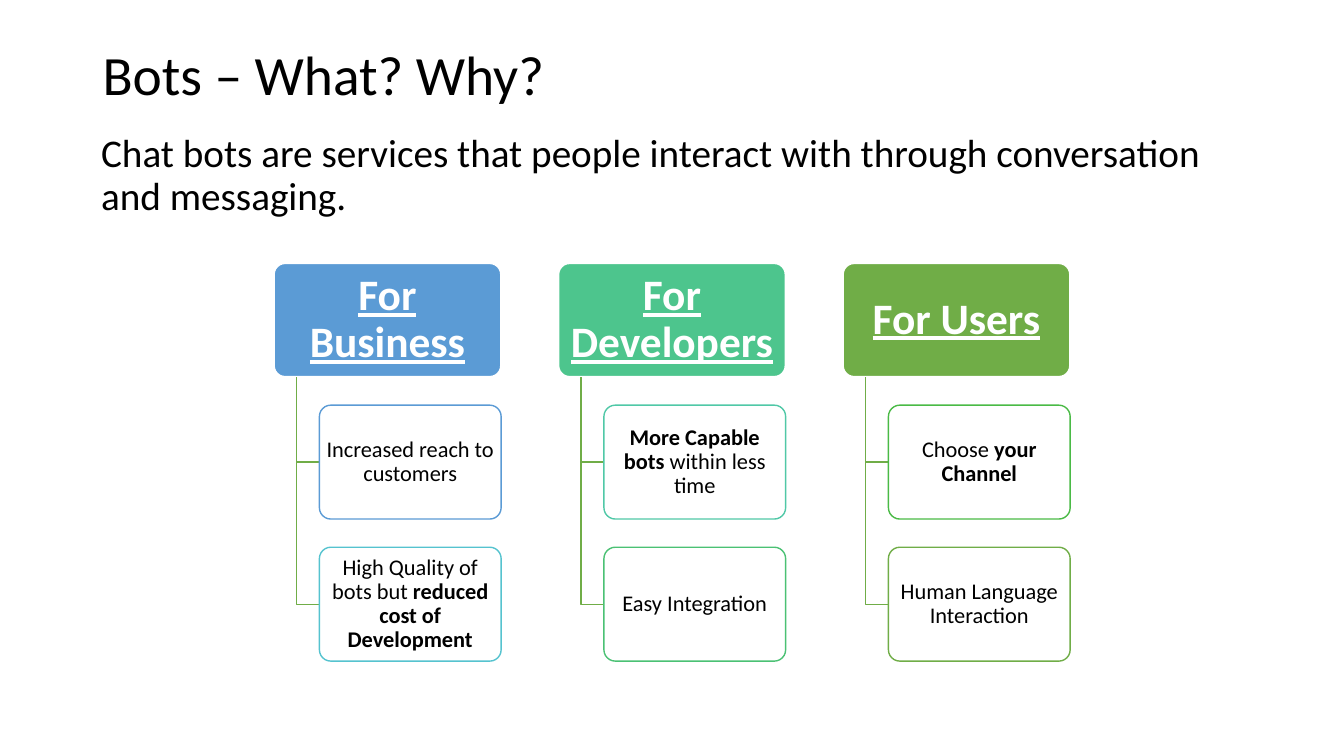
from lxml import etree
from pptx import Presentation
from pptx.dml.color import RGBColor
from pptx.enum.shapes import MSO_SHAPE
from pptx.enum.text import MSO_ANCHOR, MSO_AUTO_SIZE, PP_ALIGN
from pptx.oxml.ns import qn
from pptx.util import Cm, Pt

BLACK = RGBColor(0x00, 0x00, 0x00)
WHITE = RGBColor(0xFF, 0xFF, 0xFF)
BLUE = RGBColor(0x5B, 0x9B, 0xD5)
CYAN = RGBColor(0x55, 0xC3, 0xCF)
MINT = RGBColor(0x4D, 0xC5, 0x8D)
TEAL = RGBColor(0x50, 0xC8, 0xA7)
EMERALD = RGBColor(0x4B, 0xC1, 0x74)
BRIGHT_GREEN = RGBColor(0x4A, 0xBA, 0x46)
GREEN = RGBColor(0x70, 0xAD, 0x47)

# Heading, its colour, then the benefits as (outline colour, [(text, bold), ...])
AUDIENCES = [
    ("For Business", BLUE, [
        (BLUE, [("Increased reach to customers", False)]),
        (CYAN, [("High Quality of bots but ", False),
                ("reduced cost of Development", True)]),
    ]),
    ("For Developers", MINT, [
        (TEAL, [("More Capable bots ", True), ("within less time", False)]),
        (EMERALD, [("Easy Integration", False)]),
    ]),
    ("For Users", GREEN, [
        (BRIGHT_GREEN, [("Choose ", False), ("your Channel", True)]),
        (GREEN, [("Human Language Interaction", False)]),
    ]),
]

# Grid, in centimetres
GRID_LEFT, GRID_TOP = 6.9, 6.63
COLUMN_STEP, ROW_STEP = 7.17, 3.58
HEADING_WIDTH, BOX_HEIGHT = 5.73, 2.87
STEM_INDENT, BENEFIT_INDENT = 0.57, 1.15
BENEFIT_WIDTH = HEADING_WIDTH - BENEFIT_INDENT


def format_text(frame, size, color, alignment):
    frame.word_wrap = True
    frame.auto_size = MSO_AUTO_SIZE.NONE
    paragraph = frame.paragraphs[0]
    paragraph.alignment = alignment
    paragraph.line_spacing = 0.9
    paragraph.font.name = "Calibri"
    paragraph.font.size = Pt(size)
    paragraph.font.color.rgb = color
    return paragraph


def add_box(left, top, width, fill, outline, outline_width, margins):
    """Add a rounded box; margins are (horizontal, vertical) in centimetres."""
    box = slide.shapes.add_shape(MSO_SHAPE.ROUNDED_RECTANGLE, Cm(left), Cm(top),
                                 Cm(width), Cm(BOX_HEIGHT))
    box.adjustments[0] = 0.1
    box.shadow.inherit = False
    box.fill.solid()
    box.fill.fore_color.rgb = fill
    box.line.color.rgb = outline
    box.line.width = Pt(outline_width)
    frame = box.text_frame
    frame.vertical_anchor = MSO_ANCHOR.MIDDLE
    frame.margin_left = frame.margin_right = Cm(margins[0])
    frame.margin_top = frame.margin_bottom = Cm(margins[1])
    return box


presentation = Presentation()
presentation.slide_width = Cm(33.87)
presentation.slide_height = Cm(19.05)
slide = presentation.slides.add_slide(presentation.slide_layouts[5])

title = slide.shapes.title
title.left, title.top, title.width, title.height = Cm(2.33), Cm(1), Cm(29.21), Cm(1.9)
title.text_frame.text = "Bots – What? Why?"
title.text_frame.vertical_anchor = MSO_ANCHOR.MIDDLE
format_text(title.text_frame, 39.6, BLACK, PP_ALIGN.LEFT)

summary = slide.shapes.add_textbox(Cm(2.3), Cm(3.25), Cm(29.21), Cm(2.79))
summary.text_frame.text = ("Chat bots are services that people interact with "
                           "through conversation and messaging.")
format_text(summary.text_frame, 28, BLACK, PP_ALIGN.LEFT)

for column, (heading, color, benefits) in enumerate(AUDIENCES):
    left = GRID_LEFT + column * COLUMN_STEP
    heading_box = add_box(left, GRID_TOP, HEADING_WIDTH, color, WHITE, 1.5, (0.15, 0.1))
    heading_box.text_frame.text = heading
    paragraph = format_text(heading_box.text_frame, 31, WHITE, PP_ALIGN.CENTER)
    paragraph.font.bold = True
    paragraph.font.underline = True

    stem_left = left + STEM_INDENT
    stem_top = GRID_TOP + BOX_HEIGHT
    benefit_left = left + BENEFIT_INDENT
    for row, (outline, runs) in enumerate(benefits, start=1):
        top = GRID_TOP + row * ROW_STEP
        middle = top + BOX_HEIGHT / 2
        builder = slide.shapes.build_freeform(Cm(stem_left), Cm(stem_top))
        builder.add_line_segments([(Cm(stem_left), Cm(middle)),
                                   (Cm(benefit_left), Cm(middle))], close=False)
        branch = builder.convert_to_shape()
        branch.shadow.inherit = False
        branch.fill.background()
        branch.line.color.rgb = GREEN
        branch.line.width = Pt(1)

        benefit_box = add_box(benefit_left, top, BENEFIT_WIDTH, WHITE, outline, 1, (0.08, 0.05))
        fill_color = benefit_box.fill._xPr.find(qn("a:solidFill"))[0]
        etree.SubElement(fill_color, qn("a:alpha"), val="90000")
        paragraph = format_text(benefit_box.text_frame, 16, BLACK, PP_ALIGN.CENTER)
        for text, bold in runs:
            run = paragraph.add_run()
            run.text = text
            run.font.bold = bold

presentation.save("out.pptx")
